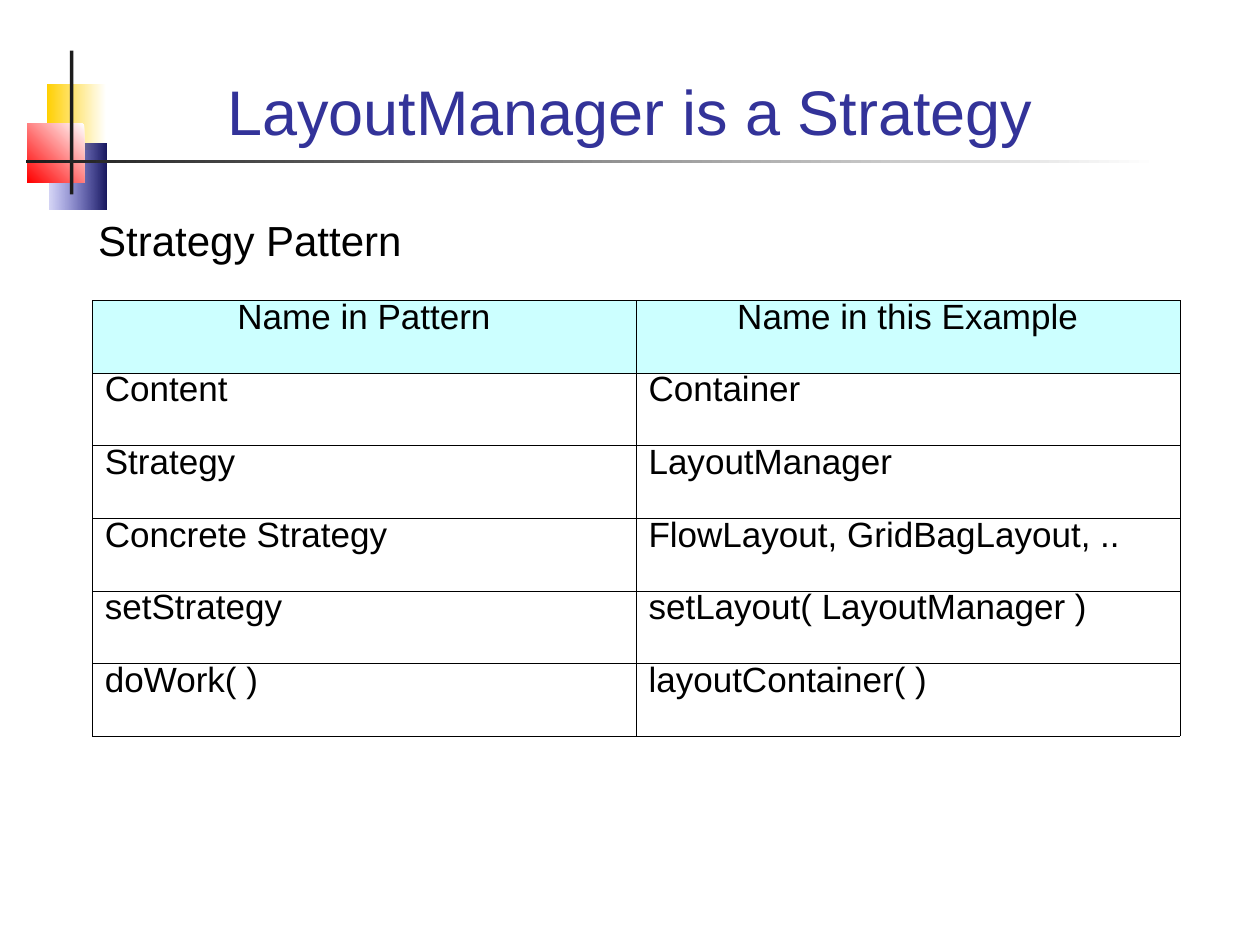
from pptx import Presentation
from pptx.dml.color import RGBColor
from pptx.enum.shapes import MSO_SHAPE
from pptx.enum.text import MSO_ANCHOR, PP_ALIGN
from pptx.oxml.ns import qn
from pptx.util import Cm, Pt
from lxml import etree

RECT = MSO_SHAPE.RECTANGLE
TOP, BOTTOM = MSO_ANCHOR.TOP, MSO_ANCHOR.BOTTOM
LEFT, CENTER = PP_ALIGN.LEFT, PP_ALIGN.CENTER
FONT = "Arial"

COLORS = {
    "white": "FFFFFF", "black": "000000", "title": "333399",
    "yellow": "FFCF01", "navy": "17175E", "blue": "3333CC",
    "red": "FF0000", "bar": "1C1C1C", "head": "CCFFFF",
}

ROWS = [
    ("Name in Pattern", "Name in this Example"),
    ("Content", "Container"),
    ("Strategy", "LayoutManager"),
    ("Concrete Strategy", "FlowLayout, GridBagLayout, .."),
    ("setStrategy", "setLayout( LayoutManager )"),
    ("doWork( )", "layoutContainer( )"),
]


def rgb(name):
    return RGBColor.from_string(COLORS[name])


def add_block(slide, box, *names, angle=180, alpha=None):
    """Rectangle with a plain fill, or a gradient if two colours are given."""
    shape = slide.shapes.add_shape(RECT, *map(Cm, box))
    shape.shadow.inherit = False
    shape.line.fill.background()
    if len(names) == 1:
        shape.fill.solid()
        shape.fill.fore_color.rgb = rgb(names[0])
        return
    shape.fill.gradient()
    shape.fill.gradient_angle = angle
    for stop, name in zip(shape.fill.gradient_stops, names):
        stop.color.rgb = rgb(name)
    if alpha:
        last = list(shape._element.spPr.iter(qn("a:srgbClr")))[-1]
        etree.SubElement(last, qn("a:alpha"), val=str(alpha * 1000))


def add_run(para, text, size, color, align=LEFT):
    para.alignment = align
    run = para.add_run()
    run.text = text
    run.font.name = FONT
    run.font.size = Pt(size)
    run.font.color.rgb = rgb(color)


def add_text(slide, box, text, size, color, align=LEFT, anchor=TOP):
    frame = slide.shapes.add_textbox(*map(Cm, box)).text_frame
    frame.word_wrap = True
    frame.vertical_anchor = anchor
    add_run(frame.paragraphs[0], text, size, color, align)


def add_border(cell):
    props = cell._tc.get_or_add_tcPr()
    for side in ("lnL", "lnR", "lnT", "lnB"):
        line = etree.SubElement(props, qn(f"a:{side}"), w=str(Pt(0.06)))
        fill = etree.SubElement(line, qn("a:solidFill"))
        etree.SubElement(fill, qn("a:srgbClr"), val=COLORS["black"])


def add_grid(slide, box, rows):
    shape = slide.shapes.add_table(len(rows), len(rows[0]), *map(Cm, box))
    table = shape.table
    table.first_row = table.horz_banding = False
    for r, row in enumerate(rows):
        for c, text in enumerate(row):
            cell = table.cell(r, c)
            add_border(cell)
            if r == 0:
                cell.fill.solid()
                cell.fill.fore_color.rgb = rgb("head")
            else:
                cell.fill.background()
            para = cell.text_frame.paragraphs[0]
            para.line_spacing = 0.73
            add_run(para, text, 20, "black", LEFT if r else CENTER)


def main():
    deck = Presentation()
    deck.slide_width, deck.slide_height = Cm(25.4), Cm(19.05)
    slide = deck.slides.add_slide(deck.slide_layouts[6])

    # Corner squares and crossing bars
    add_block(slide, (0.94, 1.7, 1.2, 1.32), "white", "yellow")
    add_block(slide, (0.99, 2.9, 1.15, 1.32), "navy", "blue", alpha=20)
    add_block(slide, (0.55, 2.5, 1.15, 1.18), "white", "red", angle=225)
    add_block(slide, (1.41, 1.02, 0.07, 2.9), "bar")
    add_block(slide, (0.53, 3.22, 22.83, 0.07), "white", "bar")

    # Title and subtitle
    add_text(slide, (1.7, 0.71, 22, 2.41), "LayoutManager is a Strategy",
             36, "title", CENTER, BOTTOM)
    add_text(slide, (1.73, 4.2, 22, 1.42), "Strategy Pattern", 24, "black")

    # Pattern names against example names
    add_grid(slide, (1.86, 6.05, 21.92, 8.79), ROWS)

    deck.save("out.pptx")


if __name__ == "__main__":
    main()
